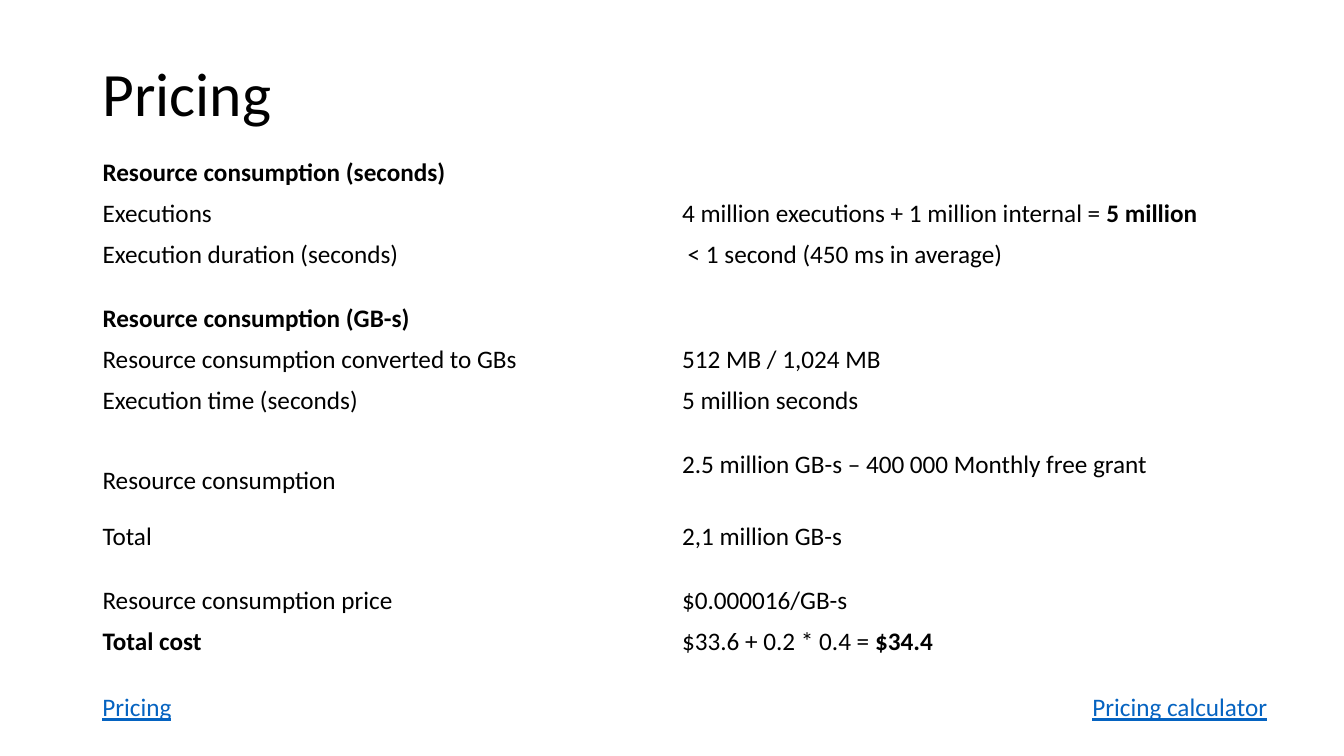
from pptx import Presentation
from pptx.dml.color import RGBColor
from pptx.enum.text import MSO_ANCHOR, PP_ALIGN
from pptx.util import Cm, Pt

MIDDLE, TOP = MSO_ANCHOR.MIDDLE, MSO_ANCHOR.TOP
LEFT_ALIGN = PP_ALIGN.LEFT
BLACK = RGBColor(0x00, 0x00, 0x00)
LINK_BLUE = RGBColor(0x05, 0x63, 0xC1)
FONT = "Calibri"

LEFT, WIDTH = Cm(2.33), Cm(29.21)
ROW, TALL_ROW = Cm(1.03), Cm(1.82)

# Each row holds its label and value; a cell is a list of (text, bold) spans.
# A row without a value is a heading across both columns.
EXECUTIONS = [
    ([("Resource consumption (seconds)", True)], None),
    ([("Executions", False)],
     [("4 million executions + 1 million internal = ", False), ("5 million", True)]),
    ([("Execution duration (seconds)", False)],
     [(" < 1 second (450 ms in average)", False)]),
]
CONVERSION = [
    ([("Resource consumption (GB-s)", True)], None),
    ([("Resource consumption converted to GBs", False)], [("512 MB / 1,024 MB", False)]),
    ([("Execution time (seconds)", False)], [("5 million seconds", False)]),
]
CONSUMPTION = [
    ([("Resource consumption", False)],
     [("2.5 million GB-s – 400 000 Monthly free grant", False)]),
    ([("Total", False)], [("2,1 million GB-s", False)]),
]
COST = [
    ([("Resource consumption price", False)], [("$0.000016/GB-s", False)]),
    ([("Total cost", True)], [("$33.6 + 0.2 * 0.4 = ", False), ("$34.4", True)]),
]


def style_paragraph(para, size, color=BLACK):
    """Set the font, size and colour shared by all spans of a paragraph."""
    para.alignment = LEFT_ALIGN
    para.font.name = FONT
    para.font.size = Pt(size)
    para.font.color.rgb = color


def add_title(page, text, left, top, width, height):
    """Fill and place the title placeholder."""
    title = page.shapes.title
    title.left, title.top, title.width, title.height = left, top, width, height
    frame = title.text_frame
    frame.text = text
    frame.vertical_anchor = MIDDLE
    para = frame.paragraphs[0]
    para.line_spacing = 0.9
    style_paragraph(para, 44)


def fill_cell(cell, spans):
    """Write the spans into a transparent cell."""
    cell.fill.background()
    cell.vertical_anchor = MIDDLE
    para = cell.text_frame.paragraphs[0]
    style_paragraph(para, 18)
    for text, bold in spans:
        span = para.add_run()
        span.text = text
        span.font.bold = bold


def add_pricing_table(page, rows, left, top, width, heights):
    """Add a plain two-column table and return it."""
    table = page.shapes.add_table(len(rows), 2, left, top, width, sum(heights)).table
    table.first_row = table.horz_banding = False
    for index, (label, value) in enumerate(rows):
        table.rows[index].height = heights[index]
        fill_cell(table.cell(index, 0), label)
        fill_cell(table.cell(index, 1), value or [])
        if value is None:
            table.cell(index, 0).merge(table.cell(index, 1))
    return table


def add_link_label(page, text, left, top, width, height):
    """Add a one-line underlined label in the link colour."""
    frame = page.shapes.add_textbox(left, top, width, height).text_frame
    frame.word_wrap = False
    frame.text = text
    para = frame.paragraphs[0]
    style_paragraph(para, 18, LINK_BLUE)
    para.font.underline = True


def build_pricing_page(deck):
    """Build the pricing page: title, four tables and two link labels."""
    page = deck.slides.add_slide(deck.slide_layouts[5])
    add_title(page, "Pricing", LEFT, Cm(1.02), WIDTH, Cm(2.82))

    add_pricing_table(page, EXECUTIONS, LEFT, Cm(3.84), WIDTH, [ROW] * 3)
    add_pricing_table(page, CONVERSION, LEFT, Cm(7.52), WIDTH, [ROW] * 3)
    consumption = add_pricing_table(
        page, CONSUMPTION, LEFT, Cm(11.2), WIDTH, [TALL_ROW, ROW])
    consumption.cell(0, 1).vertical_anchor = TOP
    add_pricing_table(page, COST, LEFT, Cm(14.63), WIDTH, [ROW] * 2)

    add_link_label(page, "Pricing", LEFT, Cm(17.3), Cm(2.26), Cm(1.02))
    add_link_label(page, "Pricing calculator", Cm(27.28), Cm(17.3), Cm(4.98), Cm(1.02))


deck = Presentation()
deck.slide_width, deck.slide_height = Cm(33.87), Cm(19.05)
build_pricing_page(deck)
deck.save("out.pptx")
